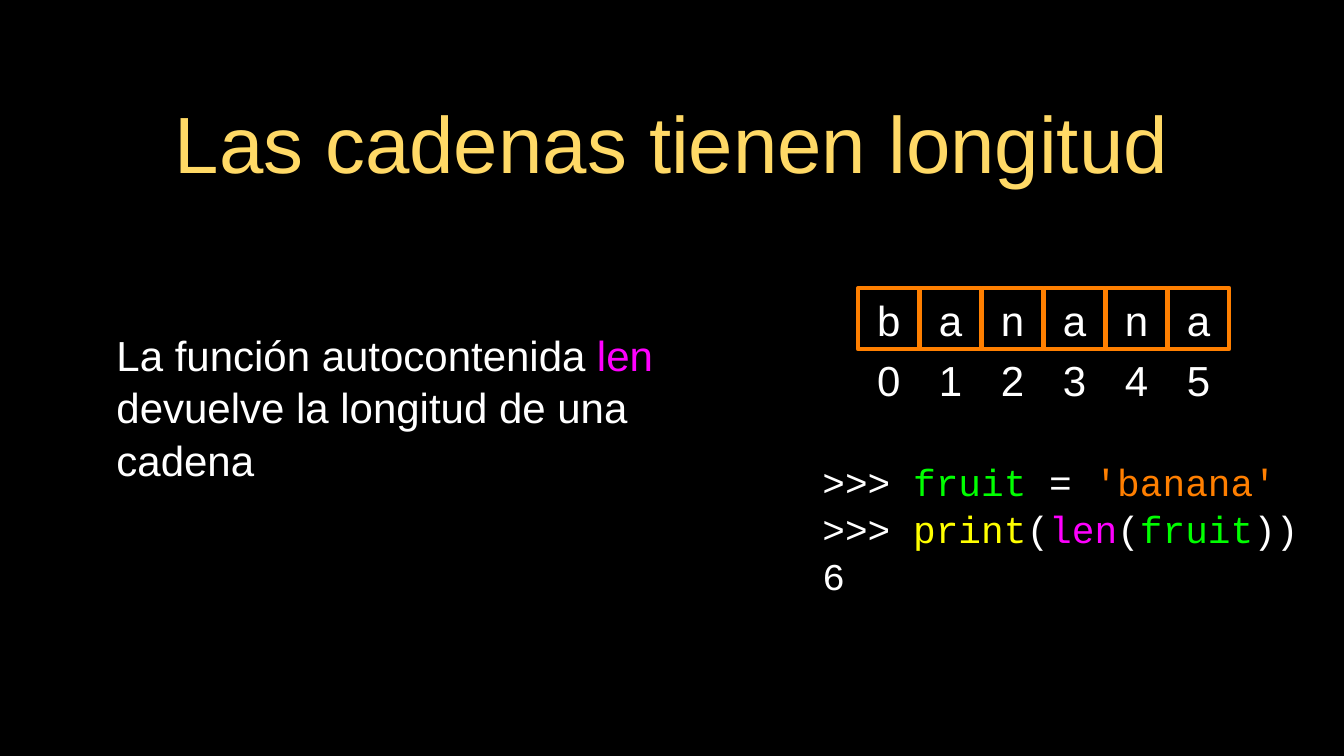
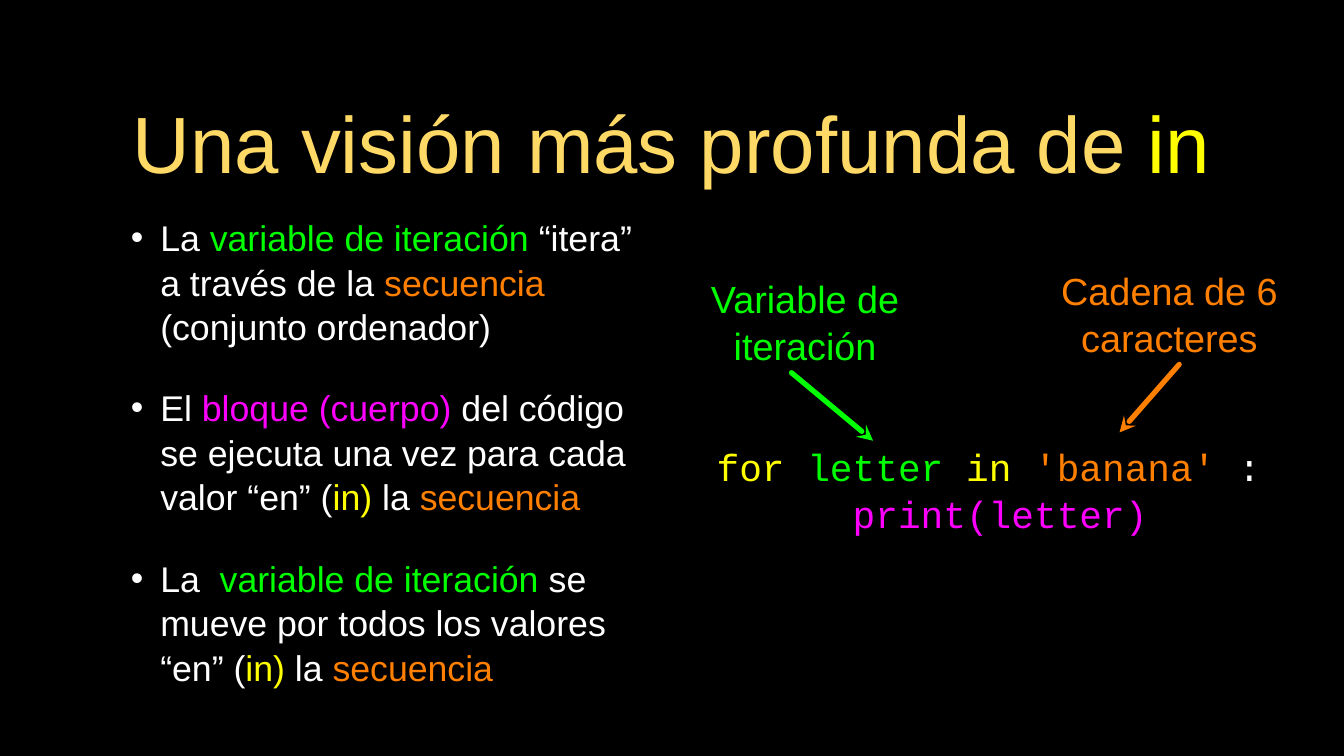
from dataclasses import dataclass

from lxml.etree import SubElement
from pptx import Presentation
from pptx.dml.color import RGBColor
from pptx.enum.shapes import MSO_CONNECTOR, MSO_SHAPE
from pptx.enum.text import MSO_ANCHOR, PP_ALIGN
from pptx.oxml.ns import qn
from pptx.util import Inches, Pt


@dataclass(frozen=True)
class Theme:
    black: str = "000000"
    white: str = "FFFFFF"
    gold: str = "FFD966"
    yellow: str = "FFFF00"
    green: str = "00FF00"
    magenta: str = "FF00FF"
    orange: str = "FF7F00"
    sans: str = "Arial"
    mono: str = "Courier New"
    title: int = 76
    text: int = 40
    label: int = 36
    bullets: int = 34
    leading: float = 1.04


T = Theme()
WIDTH, HEIGHT = Inches(17.78), Inches(10)


def area(left, top, width, height):
    return (round(WIDTH * left / 100), round(HEIGHT * top / 100),
            round(WIDTH * width / 100), round(HEIGHT * height / 100))


def write(shape, paragraphs, size=T.label, font=T.sans, align=PP_ALIGN.LEFT,
          inset=0, margins=(0,), hanging=0, gap=0, bullet=None):
    frame = shape.text_frame
    frame.word_wrap = True
    frame.vertical_anchor = MSO_ANCHOR.MIDDLE
    frame.margin_left = frame.margin_right = Inches(inset)
    frame.margin_top = frame.margin_bottom = Inches(inset)
    for number, pieces in enumerate(paragraphs):
        paragraph = frame.add_paragraph() if number else frame.paragraphs[0]
        paragraph.alignment = align
        paragraph.line_spacing = T.leading
        paragraph.space_before = Pt(gap if number else 0)
        layout = paragraph._p.get_or_add_pPr()
        layout.set("marL", str(Inches(margins[number % len(margins)])))
        layout.set("indent", str(-Inches(hanging)))
        if bullet:
            tint = SubElement(layout, qn("a:buClr"))
            SubElement(tint, qn("a:srgbClr"), val=T.white)
            SubElement(layout, qn("a:buFont"), typeface=font)
            SubElement(layout, qn("a:buChar"), char=bullet)
        for words, color in pieces:
            run = paragraph.add_run()
            run.text = words
            run.font.size = Pt(size)
            run.font.name = font
            run.font.color.rgb = RGBColor.from_string(color)


deck = Presentation()
deck.slide_width, deck.slide_height = WIDTH, HEIGHT
backdrop = deck.slide_master.background.fill
backdrop.solid()
backdrop.fore_color.rgb = RGBColor.from_string(T.black)

headings = [
    [("Las cadenas tienen longitud", T.gold)],
    [("Una visión más profunda de ", T.gold), ("in", T.yellow)],
]
for heading in headings:
    slide = deck.slides.add_slide(deck.slide_layouts[6])
    write(slide.shapes.add_textbox(*area(7.09, 9.1, 85.71, 18.7)), [heading],
          size=T.title, align=PP_ALIGN.CENTER, inset=0.04)
length_slide, loop_slide = deck.slides

explanation = length_slide.shapes.add_textbox(*area(7.09, 28.5, 45.44, 50.4))
write(explanation, [[
    ("La función autocontenida ", T.white),
    ("len", T.magenta),
    (" devuelve la longitud de una cadena", T.white),
]], size=T.text, inset=0.04, margins=(0.24,))

session = length_slide.shapes.add_textbox(*area(61.19, 60.7, 38.81, 18.2))
write(session, [
    [(">>> ", T.white), ("fruit", T.green), (" = ", T.white),
     ("'banana'", T.orange)],
    [(">>> ", T.white), ("print", T.yellow), ("(", T.white),
     ("len", T.magenta), ("(", T.white), ("fruit", T.green),
     ("))", T.white)],
    [("6", T.white)],
], font=T.mono)

CELL_WIDTH, CELL_HEIGHT, CELL_STEP = 4.56, 8.1, 4.61
for position, character in enumerate("banana"):
    left = 63.84 + position * CELL_STEP
    index = length_slide.shapes.add_textbox(
        *area(left, 46.1, CELL_WIDTH, CELL_HEIGHT))
    letter = length_slide.shapes.add_shape(
        MSO_SHAPE.RECTANGLE, *area(left, 38.1, CELL_WIDTH, CELL_HEIGHT))
    letter.shadow.inherit = False
    letter.fill.background()
    letter.line.color.rgb = RGBColor.from_string(T.orange)
    letter.line.width = Pt(4)
    for holder, symbol in ((index, str(position)), (letter, character)):
        write(holder, [[(symbol, T.white)]], size=T.text,
              align=PP_ALIGN.CENTER)

ideas = loop_slide.shapes.add_textbox(*area(7.09, 28.5, 41.11, 62.4))
write(ideas, [
    [("La ", T.white), ("variable de iteración ", T.green),
     ("“itera” a través de la ", T.white), ("secuencia ", T.orange),
     ("(conjunto ordenador)", T.white)],
    [("El ", T.white), ("bloque (cuerpo)", T.magenta),
     (" del código se ejecuta una vez para cada valor “en” (", T.white),
     ("in)", T.yellow), (" la ", T.white), ("secuencia", T.orange)],
    [("La ", T.white), (" variable de iteración", T.green),
     (" se mueve por todos los valores “en” (", T.white),
     ("in)", T.yellow), (" la ", T.white), ("secuencia", T.orange)],
], size=T.bullets, inset=0.04, margins=(0.82,), hanging=0.39, gap=35,
    bullet="•")

loop_code = loop_slide.shapes.add_textbox(*area(53.32, 57.2, 44.26, 15))
write(loop_code, [
    [("for ", T.yellow), ("letter ", T.green), ("in ", T.yellow),
     ("'banana' ", T.orange), (":", T.white)],
    [("print(letter)", T.magenta)],
], font=T.mono, margins=(0, 1.8))

callouts = [
    ("Variable de iteración", T.green, (49.89, 35.5, 20.02, 14),
     (64.96, 58.3), (58.89, 49.3)),
    ("Cadena de 6 caracteres", T.orange, (75.48, 35.5, 23.06, 11.8),
     (83.3, 57.2), (87.74, 48.2)),
]
for caption, color, place, target, origin in callouts:
    write(loop_slide.shapes.add_textbox(*area(*place)), [[(caption, color)]],
          align=PP_ALIGN.CENTER)
    arrow = loop_slide.shapes.add_connector(
        MSO_CONNECTOR.STRAIGHT, *area(*target, *origin))
    arrow.line.color.rgb = RGBColor.from_string(color)
    arrow.line.width = Pt(5)
    stroke = arrow.line._get_or_add_ln()
    stroke.set("cap", "rnd")
    SubElement(stroke, qn("a:headEnd"), type="stealth")
    SubElement(arrow._element.spPr, qn("a:effectLst"))

deck.save("out.pptx")
